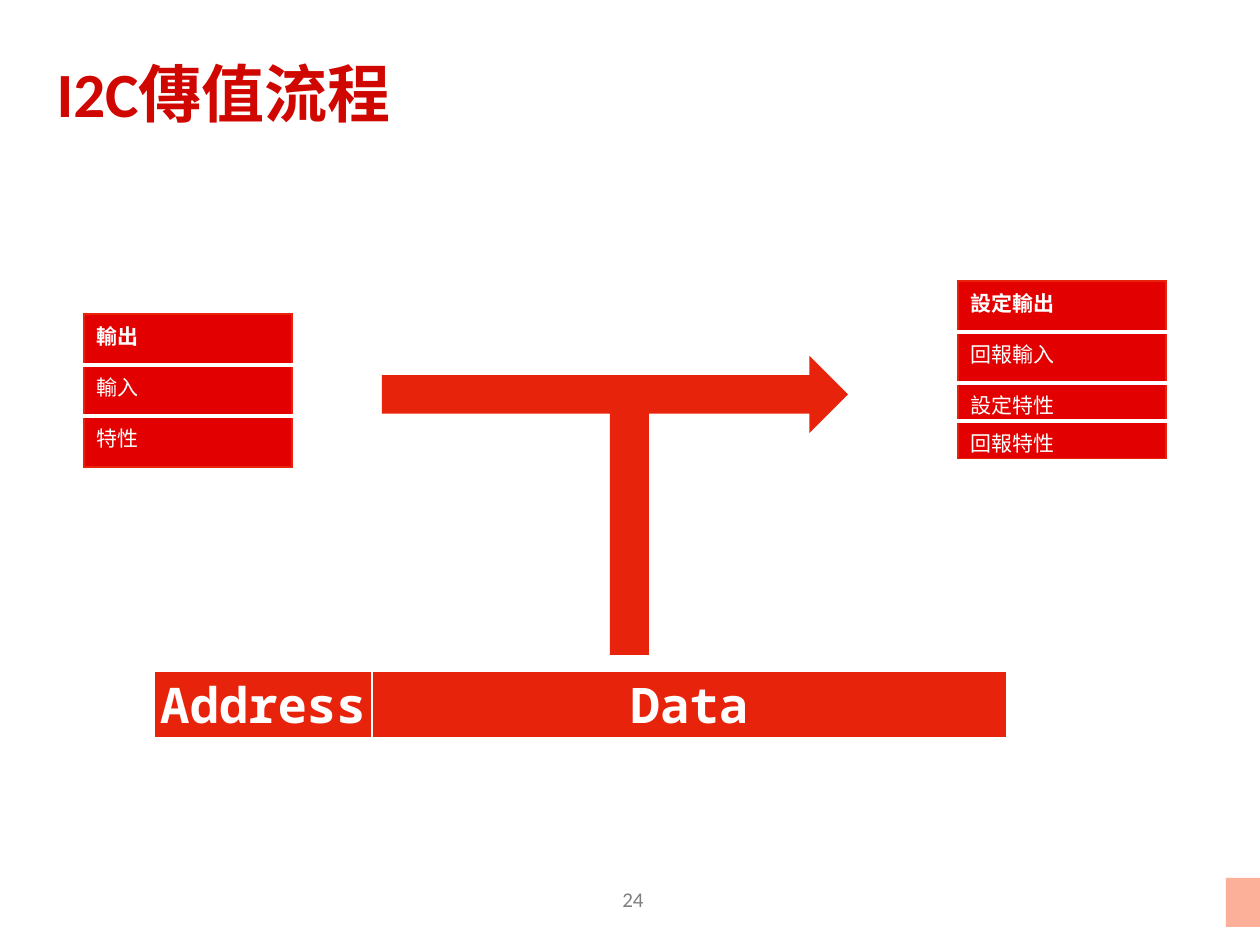
import pptx
import pptx.dml.color
import pptx.enum.shapes
import pptx.enum.text
import pptx.oxml
import pptx.oxml.ns
import pptx.util

PX = 914400 // 126  # one px in EMU
COLORS = {"title": "D00600", "red": "E7230C", "cell": "E20000",
          "white": "FFFFFF", "gray": "7F7F7F", "corner": "FCB099"}
MONO = "Noto Sans Mono"
ALIGN = pptx.enum.text.PP_ALIGN
MIDDLE = pptx.enum.text.MSO_ANCHOR.MIDDLE
SHAPE = pptx.enum.shapes.MSO_SHAPE


def emu(*lengths):
    return [pptx.util.Emu(n * PX) for n in lengths]


def rgb(name):
    return pptx.dml.color.RGBColor.from_string(COLORS[name])


def write(tf, text, size=12, font="Calibri", color="white", bold=False,
          align=ALIGN.LEFT, spacing=None, before=None):
    p = tf.paragraphs[0]
    p.alignment = align
    if spacing is not None:
        p.line_spacing = spacing
    if before is not None:
        p.space_before = pptx.util.Pt(before)
    r = p.add_run()
    r.text = text
    r.font.size = pptx.util.Pt(size)
    r.font.name = font
    r.font.bold = bold
    r.font.color.rgb = rgb(color)


def add_block(s, kind, box, color):
    sp = s.shapes.add_shape(kind, *emu(*box))
    sp.shadow.inherit = False
    sp.fill.solid()
    sp.fill.fore_color.rgb = rgb(color)
    sp.line.fill.background()


def set_borders(cell, **edges):
    """Each edge (L, R, T, B) is a pair of colour name and points."""
    tc_pr = cell._tc.get_or_add_tcPr()
    for i, side in enumerate("LRTB"):
        color, width = edges[side]
        tc_pr.insert(i, pptx.oxml.parse_xml(
            f'<a:ln{side} {pptx.oxml.ns.nsdecls("a")} w="{int(width * 12700)}">'
            f'<a:solidFill><a:srgbClr val="{COLORS[color]}"/></a:solidFill>'
            f'</a:ln{side}>'))


def add_grid(s, x, y, widths, heights, fill):
    """Add a plain table and return its cells in reading order."""
    frame = s.shapes.add_table(len(heights), len(widths),
                               *emu(x, y, sum(widths), sum(heights)))
    table = frame.table
    table.horz_banding = False
    for col, width in zip(table.columns, emu(*widths)):
        col.width = width
    for row, height in zip(table.rows, emu(*heights)):
        row.height = height
    cells = list(table.iter_cells())
    for cell in cells:
        cell.fill.solid()
        cell.fill.fore_color.rgb = rgb(fill)
    return cells


def add_command_list(s, x, y, width, heights, labels):
    cells = add_grid(s, x, y, [width], heights, "cell")
    outer, inner = ("red", 1), ("white", 2.25)
    last = len(cells) - 1
    for i, (cell, label) in enumerate(zip(cells, labels)):
        write(cell.text_frame, label, font=MONO, bold=i == 0)
        set_borders(cell, L=outer, R=outer, T=inner if i else outer,
                    B=inner if i < last else outer)


def add_packet(s, x, y, widths, height, labels):
    edge = ("white", 1)
    for cell, label in zip(add_grid(s, x, y, widths, [height], "red"), labels):
        cell.margin_left, cell.margin_right = emu(2, 2)
        cell.margin_top = cell.margin_bottom = 0
        cell.vertical_anchor = MIDDLE
        write(cell.text_frame, label, size=28, font=MONO, bold=True,
              align=ALIGN.CENTER, before=1.2)
        set_borders(cell, L=edge, R=edge, T=edge, B=("white", 3))


def add_flow(s, x, y, width, height):
    """Arrow to the right, with a stem rising from the packet below."""
    head = 77
    add_block(s, SHAPE.RIGHT_ARROW, (x, y, width, head), "red")
    top = head // 3
    add_block(s, SHAPE.RECTANGLE, (x + 228, y + top, 39, height - top), "red")


def add_title(s, x, y, width, height, text):
    sp = s.shapes.title
    sp.left, sp.top, sp.width, sp.height = emu(x, y, width, height)
    sp.text_frame.vertical_anchor = MIDDLE
    write(sp.text_frame, text, size=36, color="title", bold=True)


def add_footer(s, x, y, width, height, number):
    sp = s.shapes.add_textbox(*emu(x, y, width, height))
    tf = sp.text_frame
    tf.word_wrap = True
    tf.vertical_anchor = MIDDLE
    write(tf, number, color="gray", align=ALIGN.CENTER, spacing=0.8)


def main():
    prs = pptx.Presentation()
    prs.slide_width, prs.slide_height = emu(1260, 945)
    s = prs.slides.add_slide(prs.slide_layouts[5])

    # Title, page number and corner mark
    add_block(s, SHAPE.RECTANGLE, (1226, 878, 36, 49), "corner")
    add_title(s, 44, 15, 1171, 155, "I2C傳值流程")
    add_footer(s, 486, 876, 294, 50, "24")

    # Packet carried on the bus
    add_packet(s, 154, 671, [218, 635], 68, ["Address", "Data"])

    # Sender, flow and receiver
    add_command_list(s, 84, 314, 208, [51] * 3, ["輸出", "輸入", "特性"])
    add_flow(s, 382, 356, 466, 299)
    add_command_list(s, 958, 281, 208, [51, 51, 26, 26],
                     ["設定輸出", "回報輸入", "設定特性", "回報特性"])

    prs.save("out.pptx")


if __name__ == "__main__":
    main()
